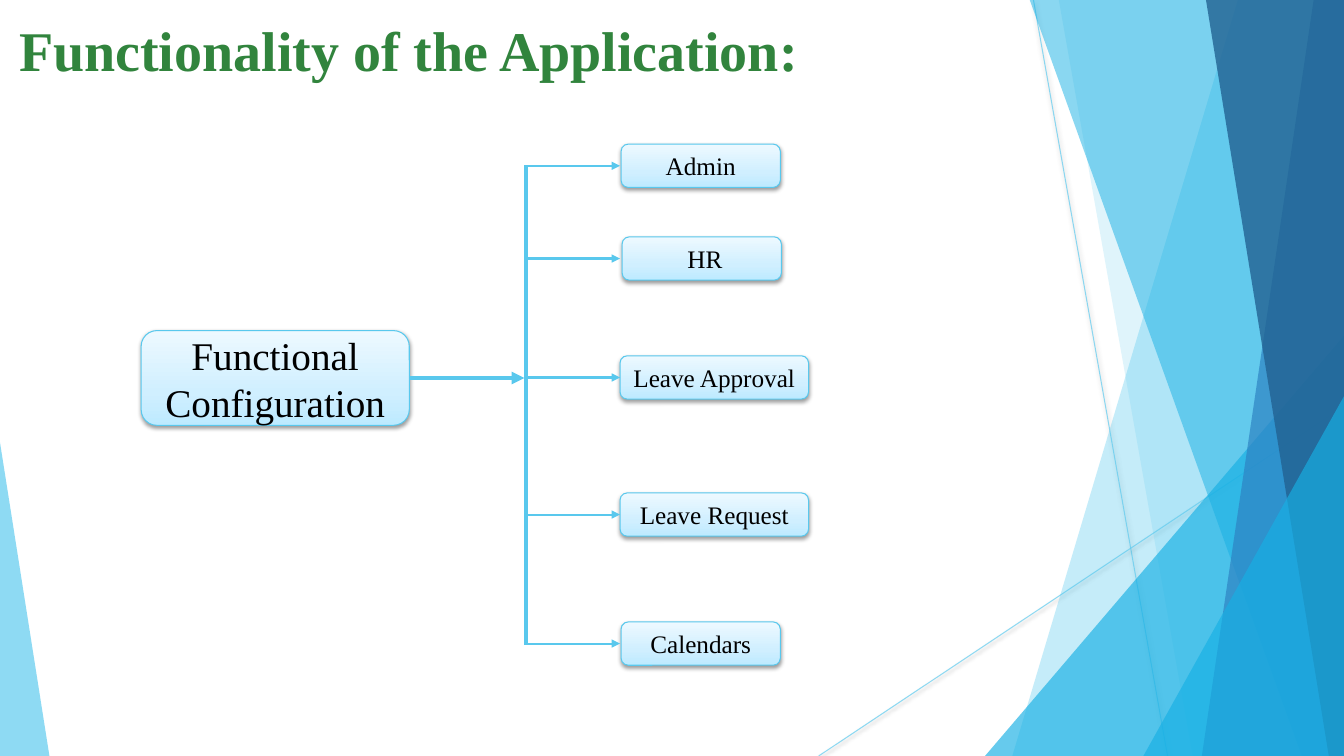
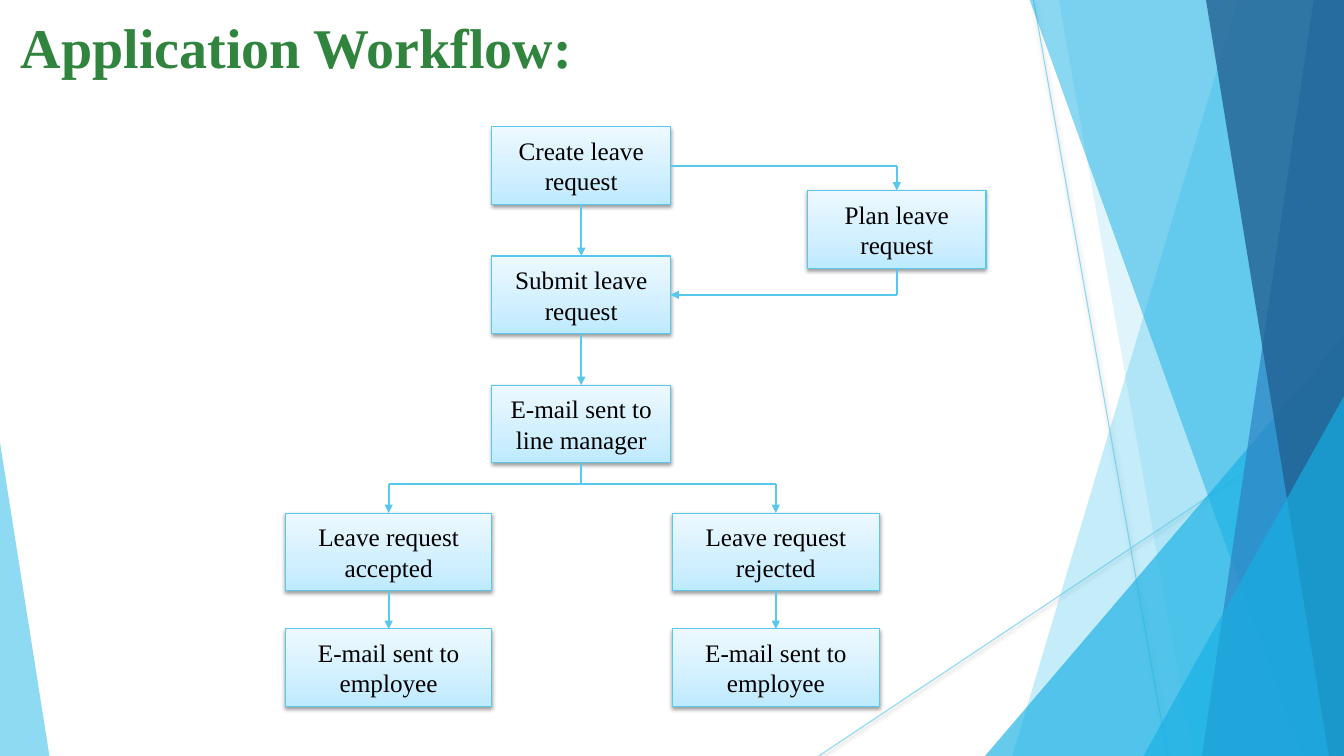
import copy

import pptx
import pptx.dml.color
import pptx.enum.shapes
import pptx.enum.text
import pptx.oxml
import pptx.oxml.ns
import pptx.util
from lxml import etree

Inches = pptx.util.Inches
Pt = pptx.util.Pt
qn = pptx.oxml.ns.qn
SHAPES = pptx.enum.shapes.MSO_SHAPE
ALIGN = pptx.enum.text.PP_ALIGN

FONT = "Times New Roman"
GREEN, BLACK, FLOW = "31843D", "000000", "59C8ED"
SKY, CYAN, BLUE, NAVY = "5FCBEF", "17B0E4", "2E83C3", "226292"
BOX_GRADIENT = [(0, "BDEAFF"), (0.35, "D0EFFF"), (1, "EDF9FF")]
WIDTH, HEIGHT, BAND_TOP = 13.33, 7.5, -0.01

# Bands reach the right edge: top-left x, bottom-left x, colour, opacity in percent
BANDS_BACK = [(12.28, 10.04, SKY, 36), (10.5, 11.83, SKY, 20)]
BANDS_FRONT = [(10.21, 12.91, CYAN, 50), (13.03, 11.92, BLUE, 70),
               (11.96, 13.18, NAVY, 80)]


def rgb(color):
    """Turn a hex string into a colour value."""
    return pptx.dml.color.RGBColor.from_string(color)


def set_alpha(shape, percent):
    """Make the solid colours of a shape or line partly transparent."""
    for color in shape._element.spPr.iter(qn("a:srgbClr")):
        etree.SubElement(color, qn("a:alpha"), val=str(percent * 1000))


def set_effects(shape, shadow=False):
    """Replace the theme effects by a soft drop shadow or by none."""
    effects = etree.SubElement(shape._element.spPr, qn("a:effectLst"))
    if shadow:
        outer = etree.SubElement(
            effects, qn("a:outerShdw"), blurRad=str(Pt(3.1)),
            dist=str(Pt(1.6)), dir="5400000", rotWithShape="0")
        color = etree.SubElement(outer, qn("a:srgbClr"), val=BLACK)
        etree.SubElement(color, qn("a:alpha"), val="38000")


def add_line(s, start, end, color=FLOW, width=1.5, arrow=False, alpha=None,
             shadow=False):
    """Draw a straight line, with an arrowhead at its end if asked."""
    line = s.shapes.add_connector(
        pptx.enum.shapes.MSO_CONNECTOR.STRAIGHT,
        *[Inches(v) for v in (*start, *end)])
    line.line.color.rgb = rgb(color)
    line.line.width = Pt(width)
    if alpha:
        set_alpha(line, alpha)
    if arrow:
        ln = line._element.spPr.find(qn("a:ln"))
        etree.SubElement(ln, qn("a:tailEnd"), type="triangle")
    set_effects(line, shadow)


def add_route(s, *points):
    """Join points by lines and end with an arrowhead."""
    last = len(points) - 2
    for i, (start, end) in enumerate(zip(points, points[1:])):
        add_line(s, start, end, arrow=i == last)


def finish_band(shape, color, alpha):
    """Give a decoration its transparent fill and no outline."""
    shape.fill.solid()
    shape.fill.fore_color.rgb = rgb(color)
    shape.line.fill.background()
    set_alpha(shape, alpha)
    set_effects(shape)


def add_band(s, top_x, bottom_x, color, alpha):
    """Draw a slanted band that reaches the right edge."""
    corners = [(WIDTH, BAND_TOP), (WIDTH, HEIGHT), (bottom_x, HEIGHT)]
    builder = s.shapes.build_freeform(Inches(top_x), Inches(BAND_TOP))
    builder.add_line_segments([(Inches(x), Inches(y)) for x, y in corners])
    finish_band(builder.convert_to_shape(), color, alpha)


def add_corner(s, left, top, width, apex, color, alpha):
    """Draw a right-angled triangle standing on the bottom edge."""
    triangle = s.shapes.add_shape(
        SHAPES.ISOSCELES_TRIANGLE, Inches(left), Inches(top),
        Inches(width), Inches(HEIGHT - top))
    triangle.adjustments[0] = apex
    finish_band(triangle, color, alpha)


def add_decoration(s):
    """Draw the lines, bands and corners behind every slide."""
    for start, end in [((10.25, 0), (11.58, HEIGHT)),
                       ((WIDTH, 4.03), (8.12, HEIGHT))]:
        add_line(s, start, end, SKY, 0.75, alpha=70, shadow=True)
    for band in BANDS_BACK:
        add_band(s, *band)
    add_corner(s, 9.77, 3.33, 3.56, 1, CYAN, 66)
    for band in BANDS_FRONT:
        add_band(s, *band)
    add_corner(s, 11.34, 3.93, 1.99, 1, CYAN, 66)
    add_corner(s, 0, 4.39, 0.49, 0, SKY, 70)


def add_run(p, text, size, color=BLACK, bold=False):
    """Add one run of text to a paragraph."""
    r = p.add_run()
    r.text = text
    r.font.name = FONT
    r.font.size = Pt(size)
    r.font.bold = bold
    r.font.color.rgb = rgb(color)


def add_slide(prs, title, left, top, width):
    """Start a decorated slide with its title."""
    s = prs.slides.add_slide(prs.slide_layouts[6])
    add_decoration(s)
    box = s.shapes.add_textbox(Inches(left), Inches(top), Inches(width),
                               Inches(0.77))
    tf = box.text_frame
    tf.word_wrap = True
    tf.auto_size = pptx.enum.text.MSO_AUTO_SIZE.SHAPE_TO_FIT_TEXT
    add_run(tf.paragraphs[0], title, 40, GREEN, True)
    return s


def fill_gradient(shape):
    """Fill a box with the pale vertical gradient."""
    shape.fill.gradient()
    shape.fill.gradient_angle = 90
    stop_list = shape._element.spPr.find(".//" + qn("a:gsLst"))
    stop_list.append(copy.deepcopy(stop_list[-1]))
    for stop, (position, color) in zip(shape.fill.gradient_stops, BOX_GRADIENT):
        stop.position = position
        stop.color.rgb = rgb(color)


def add_box(s, kind, left, top, width, height, lines, size=18):
    """Draw a gradient box with one centred paragraph per line."""
    sp = s.shapes.add_shape(kind, Inches(left), Inches(top), Inches(width),
                            Inches(height))
    fill_gradient(sp)
    sp.line.color.rgb = rgb(FLOW)
    sp.line.width = Pt(0.75)
    set_effects(sp, shadow=True)
    tf = sp.text_frame
    tf.word_wrap = True
    tf.vertical_anchor = pptx.enum.text.MSO_ANCHOR.MIDDLE
    for i, text in enumerate(lines):
        p = tf.add_paragraph() if i else tf.paragraphs[0]
        p.alignment = ALIGN.CENTER
        add_run(p, text, size)


def build_functionality(prs):
    """Build the tree of application functions."""
    s = add_slide(prs, "Functionality of the Application:", 0.09, 0.11, 9.09)
    modules = [("Admin", 6.16, 1.43, 1.58), (" HR", 6.17, 2.35, 1.58),
               ("Leave Approval", 6.15, 3.53, 1.87),
               ("Leave Request", 6.15, 4.89, 1.87),
               ("Calendars", 6.16, 6.17, 1.58)]
    height, trunk = 0.43, 5.22
    for name, left, top, width in modules:
        add_box(s, SHAPES.ROUNDED_RECTANGLE, left, top, width, height, [name])
    add_box(s, SHAPES.ROUNDED_RECTANGLE, 1.4, 3.28, 2.66, 0.94,
            ["Functional Configuration"], 28)
    add_line(s, (trunk, 1.64), (trunk, 6.4), width=3)
    for name, left, top, width in modules:
        middle = top + height / 2
        add_line(s, (trunk, middle), (6.15, middle), arrow=True)
    add_line(s, (4.06, 3.75), (5.2, 3.75), width=3, arrow=True)


def build_workflow(prs):
    """Build the flowchart of a leave request."""
    s = add_slide(prs, "Application Workflow:", 0.11, 0.08, 6.55)
    height, step_width, outcome_width = 0.77, 1.77, 2.05
    step_left, step_top, pitch = 4.88, 1.26, 1.28
    plan_left, plan_top = 8.01, 1.89
    outcome_top, notice_top, rail = 5.09, 6.24, 4.8
    steps = [("Create leave", "request"), ("Submit leave", "request"),
             ("E-mail sent to", "line manager")]
    outcomes = [(2.83, "accepted"), (6.67, "rejected")]

    tops = [step_top + i * pitch for i in range(len(steps))]
    for lines, top in zip(steps, tops):
        add_box(s, SHAPES.RECTANGLE, step_left, top, step_width, height, lines)
    add_box(s, SHAPES.RECTANGLE, plan_left, plan_top, step_width, height,
            ("Plan leave", "request"))
    for left, result in outcomes:
        for top, lines in [(outcome_top, ("Leave request", result)),
                           (notice_top, ("E-mail sent to", "employee"))]:
            add_box(s, SHAPES.RECTANGLE, left, top, outcome_width, height, lines)

    center = step_left + step_width / 2
    for top, next_top in zip(tops, tops[1:]):
        add_route(s, (center, top + height), (center, next_top))

    side = step_left + step_width
    plan_center = plan_left + step_width / 2
    create_y, submit_y = [top + height / 2 for top in tops[:2]]
    add_route(s, (side, create_y), (plan_center, create_y),
              (plan_center, plan_top))
    add_route(s, (plan_center, plan_top + height), (plan_center, submit_y),
              (side, submit_y))

    ends = [left + outcome_width / 2 for left, result in outcomes]
    add_line(s, (center, tops[-1] + height), (center, rail))
    add_line(s, (ends[0], rail), (ends[1], rail))
    for x in ends:
        add_route(s, (x, rail), (x, outcome_top))
        add_route(s, (x, outcome_top + height), (x, notice_top))


def main():
    """Build and save the presentation."""
    prs = pptx.Presentation()
    prs.slide_width = Inches(WIDTH)
    prs.slide_height = Inches(HEIGHT)
    build_functionality(prs)
    build_workflow(prs)
    prs.save("out.pptx")


main()
